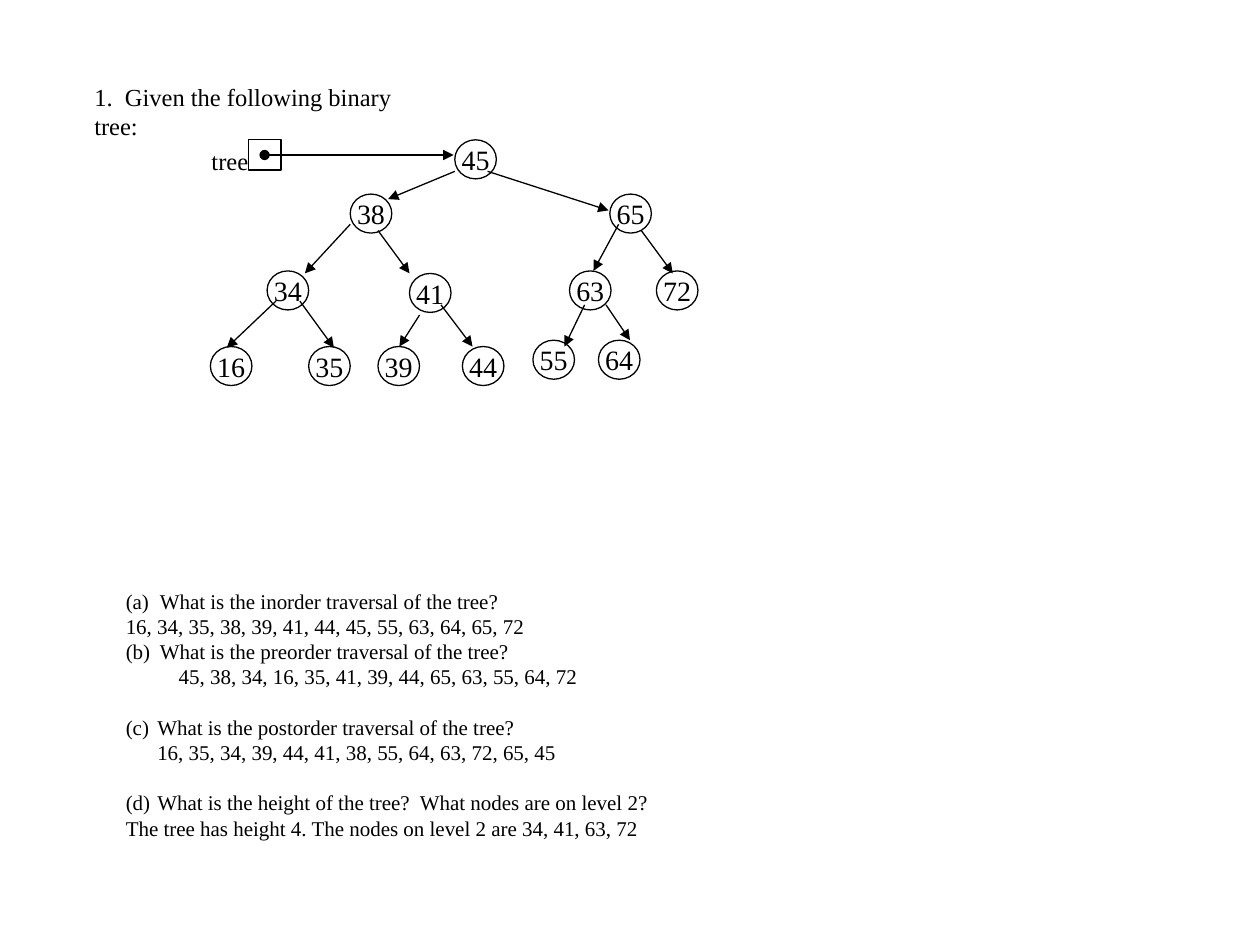
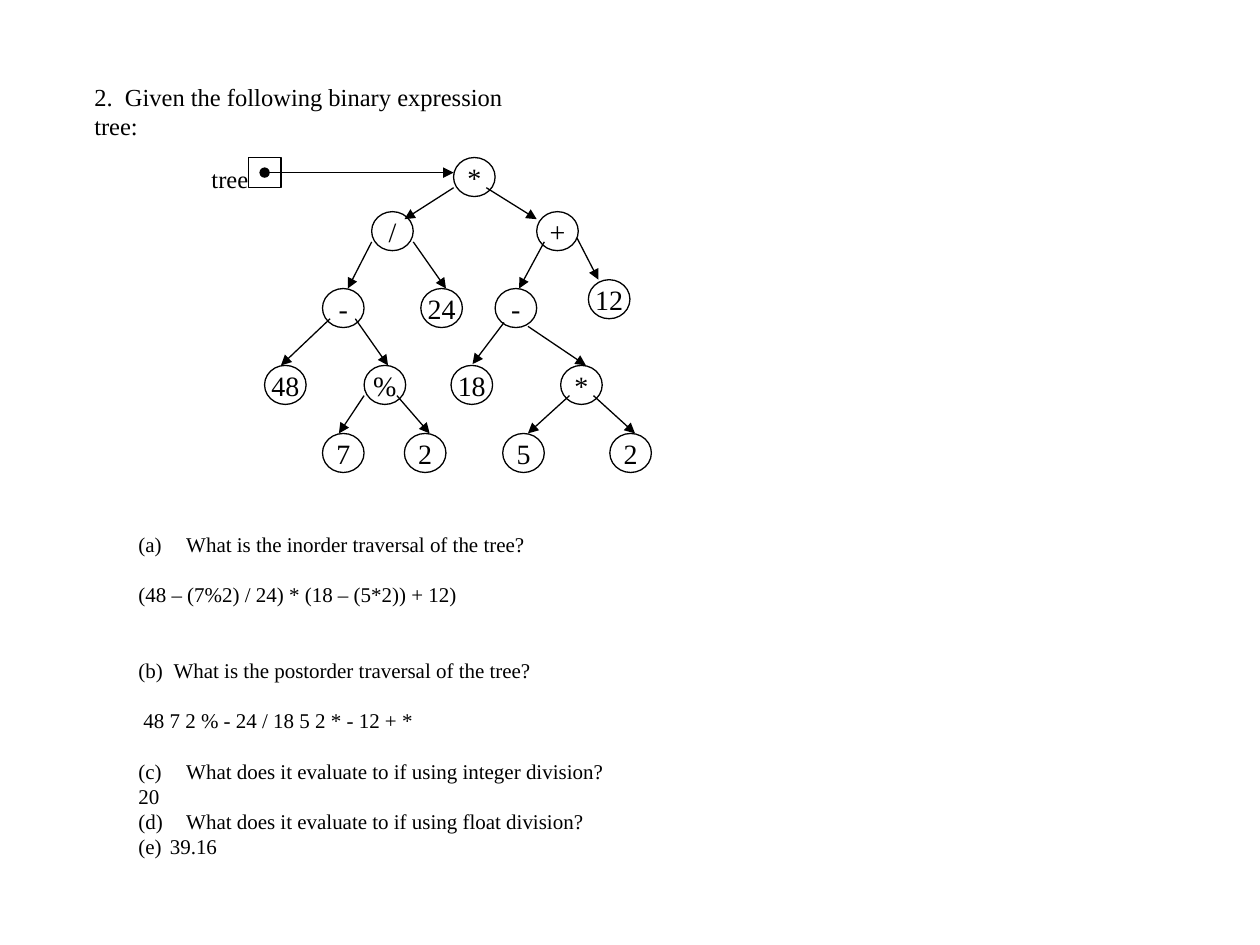
from lxml import etree
from pptx import Presentation, util as u
from pptx.dml.color import RGBColor
from pptx.enum import shapes, text
from pptx.oxml.ns import qn

INKS = {"ink": "000000", "paper": "FFFFFF"}
FACE = "Times New Roman"
SIZES = {"title": 14, "label": 14, "node": 16, "body": 12}
NODE = (0.33, 0.31)
CELL = (0.26, 0.24)
LEAD = 1.2  # line pitch as a multiple of the text size


def put(item, fmt):
    """Set every attribute named in a dict of format values."""
    for key, val in fmt.items():
        setattr(item, key, val)


def ink(key):
    """Return a named colour."""
    return RGBColor.from_string(INKS[key])


class Sheet:
    """Holds the deck's style and the current slide."""

    def __init__(self):
        """Start an empty 10 by 7.5 inch deck."""
        self.deck = Presentation()
        put(self.deck, {"slide_width": u.Inches(10), "slide_height": u.Inches(7.5)})
        self.page = None

    def new(self):
        """Add a blank slide and make it current."""
        self.page = self.deck.slides.add_slide(self.deck.slide_layouts[6])
        fill = self.page.background.fill
        fill.solid()
        fill.fore_color.rgb = ink("paper")

    def label(self, para, words, role):
        """Add one run in the style of its role."""
        run = para.add_run()
        run.text = words
        put(run.font, {"name": FACE, "size": u.Pt(SIZES[role])})
        run.font.color.rgb = ink("ink")

    def box(self, x, y, w, h, wrap=True):
        """Add a text box and return its frame."""
        frame = self.page.shapes.add_textbox(*map(u.Inches, (x, y, w, h))).text_frame
        frame.word_wrap = wrap
        return frame

    def title(self, words, width):
        """Add the question title."""
        para = self.box(0.65, 0.6, width, 0.33).paragraphs[0]
        para.line_spacing = u.Pt(SIZES["title"] * LEAD)
        self.label(para, words, "title")

    def body(self, spot, rows):
        """Add rows of (words, blank lines above, left, hang, first number)."""
        frame = self.box(*spot)
        pitch = SIZES["body"] * LEAD
        for i, (words, gap, left, hang, start) in enumerate(rows):
            para = frame.add_paragraph() if i else frame.paragraphs[0]
            put(para, {"line_spacing": u.Pt(pitch), "space_before": u.Pt(gap * pitch)})
            props = para._p.get_or_add_pPr()
            props.set("marL", str(u.Inches(left)))
            props.set("indent", str(-u.Inches(hang)))
            if start:
                mark = etree.SubElement(props, qn("a:buAutoNum"))
                mark.set("type", "alphaLcParenBoth")
                mark.set("startAt", str(start))
            self.label(para, words, "body")

    def shape(self, kind, x, y, size):
        """Add an unfilled outline shape."""
        item = self.page.shapes.add_shape(kind, *map(u.Inches, (x, y, *size)))
        item.shadow.inherit = False
        item.fill.background()
        item.line.color.rgb = ink("ink")
        item.line.width = u.Pt(0.75)
        return item

    def node(self, name, x, y):
        """Add a round tree node."""
        frame = self.shape(shapes.MSO_SHAPE.OVAL, x, y, NODE).text_frame
        put(frame, {"word_wrap": False, "vertical_anchor": text.MSO_ANCHOR.MIDDLE,
                    "margin_left": 0, "margin_right": 0,
                    "margin_top": 0, "margin_bottom": 0})
        para = frame.paragraphs[0]
        para.alignment = text.PP_ALIGN.CENTER
        self.label(para, name, "node")

    def arrow(self, x1, y1, x2, y2, dot=False):
        """Add an arrow, with a dot at its start if asked."""
        item = self.page.shapes.add_connector(
            shapes.MSO_CONNECTOR.STRAIGHT, *map(u.Inches, (x1, y1, x2, y2)))
        item.line.color.rgb = ink("ink")
        item.line.width = u.Pt(0.75)
        props = item._element.spPr
        line = props.find(qn("a:ln"))
        if dot:
            etree.SubElement(line, qn("a:headEnd")).set("type", "oval")
        etree.SubElement(line, qn("a:tailEnd")).set("type", "triangle")
        etree.SubElement(props, qn("a:effectLst"))

    def tree(self, top, nodes, edges):
        """Draw the root pointer, the nodes and the edges."""
        self.label(self.box(1.58, top, 0.49, 0.33, False).paragraphs[0], "tree", "label")
        self.shape(shapes.MSO_SHAPE.RECTANGLE, 1.97, top, CELL)
        mid = top + CELL[1] / 2
        self.arrow(1.97 + CELL[0] / 2, mid, 3.6, mid, True)
        for y, row in nodes:
            for name, x in row:
                self.node(name, x, y)
        for edge in edges:
            self.arrow(*edge)


def search(sheet):
    """Build the search tree question."""
    sheet.new()
    sheet.title("1.  Given the following binary tree:", 2.9)
    sheet.body((0.9, 4.62, 6.3, 2.12), [
        ("(a)\tWhat is the inorder traversal of the tree?", 0, 0.27, 0.27, 0),
        ("16, 34, 35, 38, 39, 41, 44, 45, 55, 63, 64, 65, 72", 0, 0, 0, 0),
        ("(b)\tWhat is the preorder traversal of the tree?", 0, 0.27, 0.27, 0),
        ("45, 38, 34, 16, 35, 41, 39, 44, 65, 63, 55, 64, 72", 0, 0.42, 0, 0),
        ("What is the postorder traversal of the tree?", 1, 0.25, 0.25, 3),
        ("16, 35, 34, 39, 44, 41, 38, 55, 64, 63, 72, 65, 45", 0, 0.25, 0, 0),
        ("What is the height of the tree?  What nodes are on level 2?",
         1, 0.25, 0.25, 4),
        ("The tree has height 4. The nodes on level 2 are 34, 41, 63, 72", 0, 0, 0, 0),
    ])
    nodes = [
        (1.11, [("45", 3.61)]),
        (1.54, [("38", 2.78), ("65", 4.84)]),
        (2.15, [("34", 2.12), ("63", 4.52), ("72", 5.21)]),
        (2.17, [("41", 3.25)]),
        (2.7, [("55", 4.23), ("64", 4.75)]),
        (2.75, [("16", 1.67), ("35", 2.45), ("39", 3), ("44", 3.67)]),
    ]
    sheet.tree(1.11, nodes, [
        (3.61, 1.36, 3.08, 1.58), (3.87, 1.36, 4.83, 1.67),
        (2.78, 1.78, 2.42, 2.17), (3, 1.83, 3.25, 2.17),
        (4.91, 1.78, 4.71, 2.15), (5.09, 1.83, 5.34, 2.17),
        (2.19, 2.39, 1.8, 2.76), (2.38, 2.39, 2.65, 2.76),
        (3.33, 2.5, 3.17, 2.75), (3.5, 2.42, 3.75, 2.75),
        (4.64, 2.42, 4.48, 2.75), (4.81, 2.42, 5, 2.7),
    ])


def maths(sheet):
    """Build the expression tree question."""
    sheet.new()
    sheet.title("2.  Given the following binary expression tree:", 3.8)
    sheet.body((1, 4.17, 3.94, 3.13), [
        ("What is the inorder traversal of the tree?", 0, 0.38, 0.38, 1),
        ("(48 – (7%2) / 24) * (18 – (5*2)) + 12)", 1, 0, 0, 0),
        ("(b)\tWhat is the postorder traversal of the tree?", 2, 0.28, 0.28, 0),
        ("48 7 2 % - 24 / 18 5 2 * - 12 + *", 1, 0.04, 0, 0),
        ("What does it evaluate to if using integer division?", 1, 0.38, 0.38, 3),
        ("20", 0, 0, 0, 0),
        ("What does it evaluate to if using float division?", 0, 0.38, 0.38, 4),
        ("39.16", 0, 0.25, 0.25, 4),
    ])
    nodes = [
        (1.25, [("*", 3.6)]),
        (1.68, [("/", 2.95), ("+", 4.26)]),
        (2.22, [("12", 4.67)]),
        (2.29, [("-", 2.56), ("24", 3.34), ("-", 3.93)]),
        (2.9, [("48", 2.1), ("%", 2.89), ("18", 3.58), ("*", 4.45)]),
        (3.44, [("7", 2.56), ("2", 3.21), ("5", 3.99), ("2", 4.84)]),
    ]
    sheet.tree(1.25, nodes, [
        (3.6, 1.49, 3.21, 1.74), (3.86, 1.49, 4.26, 1.74),
        (2.95, 1.92, 2.76, 2.29), (3.28, 1.92, 3.54, 2.29),
        (4.32, 1.92, 4.12, 2.29), (4.58, 1.89, 4.75, 2.22),
        (2.62, 2.53, 2.23, 2.9), (2.82, 2.53, 3.08, 2.9),
        (4, 2.56, 3.75, 2.89), (4.19, 2.59, 4.65, 2.9),
        (2.89, 3.14, 2.69, 3.44), (3.15, 3.14, 3.41, 3.44),
        (4.52, 3.14, 4.19, 3.44), (4.71, 3.14, 5.04, 3.44),
    ])


sheet = Sheet()
search(sheet)
maths(sheet)
sheet.deck.save("out.pptx")
